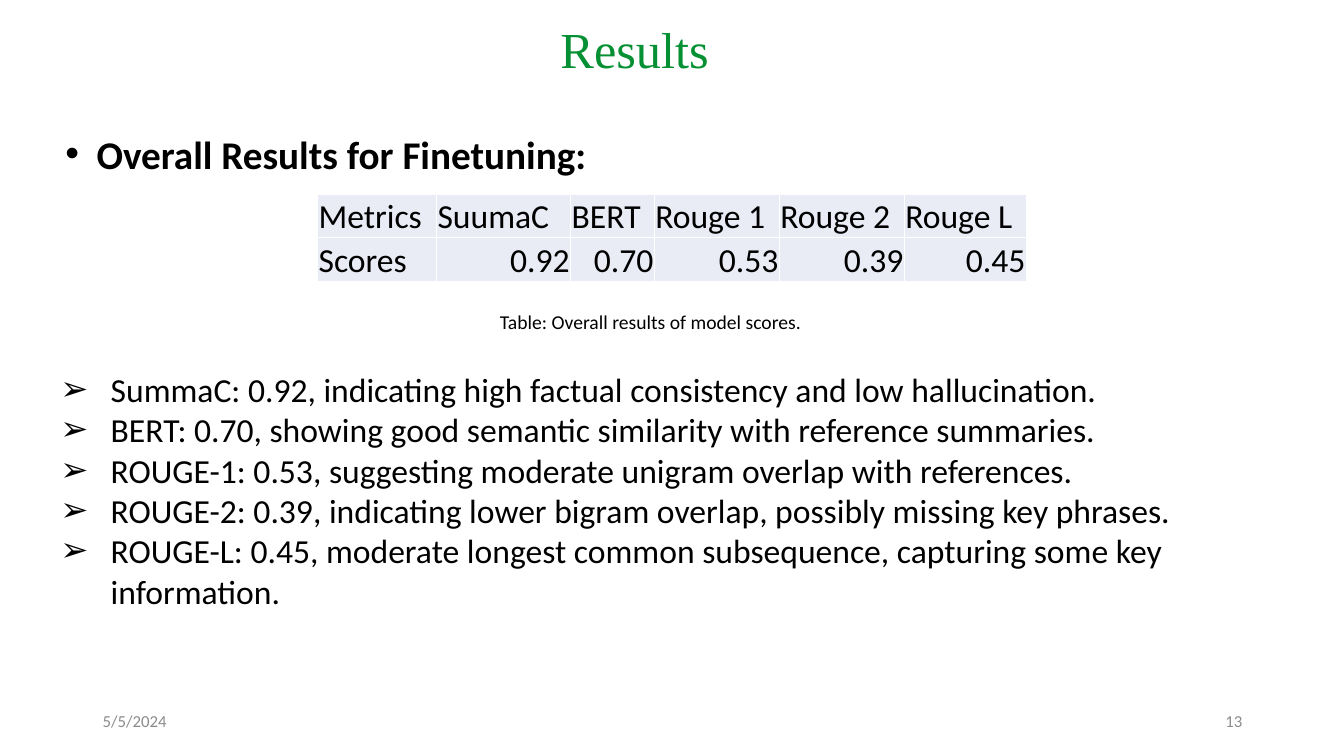
from lxml import etree
from pptx import Presentation
from pptx.dml.color import RGBColor
from pptx.enum.text import MSO_ANCHOR, MSO_AUTO_SIZE, PP_ALIGN
from pptx.oxml.ns import qn
from pptx.util import Inches, Pt

LEFT, CENTER, RIGHT = PP_ALIGN.LEFT, PP_ALIGN.CENTER, PP_ALIGN.RIGHT
TOP, MIDDLE, BOTTOM = MSO_ANCHOR.TOP, MSO_ANCHOR.MIDDLE, MSO_ANCHOR.BOTTOM
FIT_SHAPE, NO_FIT = MSO_AUTO_SIZE.SHAPE_TO_FIT_TEXT, MSO_AUTO_SIZE.NONE

COLORS = {"title": "059033", "text": "000000", "footer": "8C8C8C",
          "cell": "E9EBF5", "border": "FFFFFF"}

TITLE = "Results"
HEADING = "Overall Results for Finetuning:"
CAPTION = "Table: Overall results of model scores."
DATE, PAGE_NUMBER = "5/5/2024", "13"
SCORES = [
    ("Metrics", "SuumaC", "BERT", "Rouge 1", "Rouge 2", "Rouge L"),
    ("Scores", "0.92", "0.70", "0.53", "0.39", "0.45"),
]
FINDINGS = [
    "SummaC: 0.92, indicating high factual consistency and low hallucination.",
    "BERT: 0.70, showing good semantic similarity with reference summaries.",
    "ROUGE-1: 0.53, suggesting moderate unigram overlap with references.",
    "ROUGE-2: 0.39, indicating lower bigram overlap, possibly missing key phrases.",
    "ROUGE-L: 0.45, moderate longest common subsequence, capturing some key information.",
]
COLUMN_WIDTHS = [1.18, 1.33, 0.83, 1.24, 1.24, 1.21]
ROW_HEIGHT = 0.43


def text_format(size, color="text", name="Calibri", bold=False):
    return {"size": Pt(size), "name": name, "bold": bold, "color": COLORS[color]}


TITLE_FORMAT = text_format(36, "title", "Times New Roman")
HEADING_FORMAT = text_format(28, bold=True)
BODY_FORMAT = text_format(24)
CAPTION_FORMAT = text_format(14)
FOOTER_FORMAT = text_format(12, "footer")


def write(para, text, values, align=LEFT):
    para.alignment = align
    span = para.add_run()
    span.text = text
    for key, value in values.items():
        if key == "color":
            span.font.color.rgb = RGBColor.from_string(value)
        else:
            setattr(span.font, key, value)


def add_bullet(para, char, margin, indent):
    props = para._p.get_or_add_pPr()
    props.set("marL", str(Inches(margin)))
    props.set("indent", str(Inches(indent)))
    etree.SubElement(props, qn("a:buFont"), typeface="Arial")
    etree.SubElement(props, qn("a:buChar"), char=char)


def add_text(page, place, lines, values, align=LEFT, anchor=TOP, fit=FIT_SHAPE,
             bullet=None, level=0):
    frame = page.shapes.add_textbox(*map(Inches, place)).text_frame
    frame.word_wrap = True
    frame.auto_size = fit
    frame.vertical_anchor = anchor
    for index, line in enumerate(lines):
        para = frame.add_paragraph() if index else frame.paragraphs[0]
        para.level = level
        if bullet:
            add_bullet(para, *bullet)
        write(para, line, values, align)


def add_borders(cell):
    props = cell._tc.get_or_add_tcPr()
    for side in ("lnL", "lnR", "lnT", "lnB"):
        line = etree.SubElement(props, qn("a:" + side), w=str(Pt(1)))
        fill = etree.SubElement(line, qn("a:solidFill"))
        etree.SubElement(fill, qn("a:srgbClr"), val=COLORS["border"])


def add_scores(page, left, top):
    size = (sum(COLUMN_WIDTHS), ROW_HEIGHT * len(SCORES))
    table = page.shapes.add_table(
        len(SCORES), len(COLUMN_WIDTHS), *map(Inches, (left, top, *size))).table
    for column, width in zip(table.columns, COLUMN_WIDTHS):
        column.width = Inches(width)
    for row, labels in enumerate(SCORES):
        table.rows[row].height = Inches(ROW_HEIGHT)
        for col, label in enumerate(labels):
            cell = table.cell(row, col)
            cell.margin_left = cell.margin_right = cell.margin_top = Inches(0.01)
            cell.margin_bottom = 0
            cell.vertical_anchor = BOTTOM
            add_borders(cell)
            cell.fill.solid()
            cell.fill.fore_color.rgb = RGBColor.from_string(COLORS["cell"])
            write(cell.text_frame.paragraphs[0], label, BODY_FORMAT,
                  RIGHT if row and col else LEFT)


def add_title(page):
    title = page.shapes.title
    title.left, title.top, title.width, title.height = map(
        Inches, (1.63, -0.21, 9.33, 1.45))
    title.text_frame.vertical_anchor = MIDDLE
    para = title.text_frame.paragraphs[0]
    para.line_spacing = 0.9
    write(para, TITLE, TITLE_FORMAT, CENTER)


def main():
    deck = Presentation()
    deck.slide_width, deck.slide_height = Inches(13.33), Inches(7.5)
    page = deck.slides.add_slide(deck.slide_layouts[5])
    add_title(page)
    for left, text, align in ((0.92, DATE, LEFT), (9.42, PAGE_NUMBER, RIGHT)):
        add_text(page, (left, 6.95, 3, 0.4), [text], FOOTER_FORMAT, align, MIDDLE, NO_FIT)
    add_text(page, (4.86, 3.03, 3.33, 0.34), [CAPTION], CAPTION_FORMAT)
    add_text(page, (0.55, 1.24, 12.24, 0.57), [HEADING], HEADING_FORMAT,
             bullet=("•", 0.31, -0.31))
    add_scores(page, 3.15, 1.93)
    add_text(page, (0, 3.61, 13.33, 2.93), FINDINGS, BODY_FORMAT,
             bullet=("➢", 1, -0.5), level=1)
    deck.save("out.pptx")


if __name__ == "__main__":
    main()
